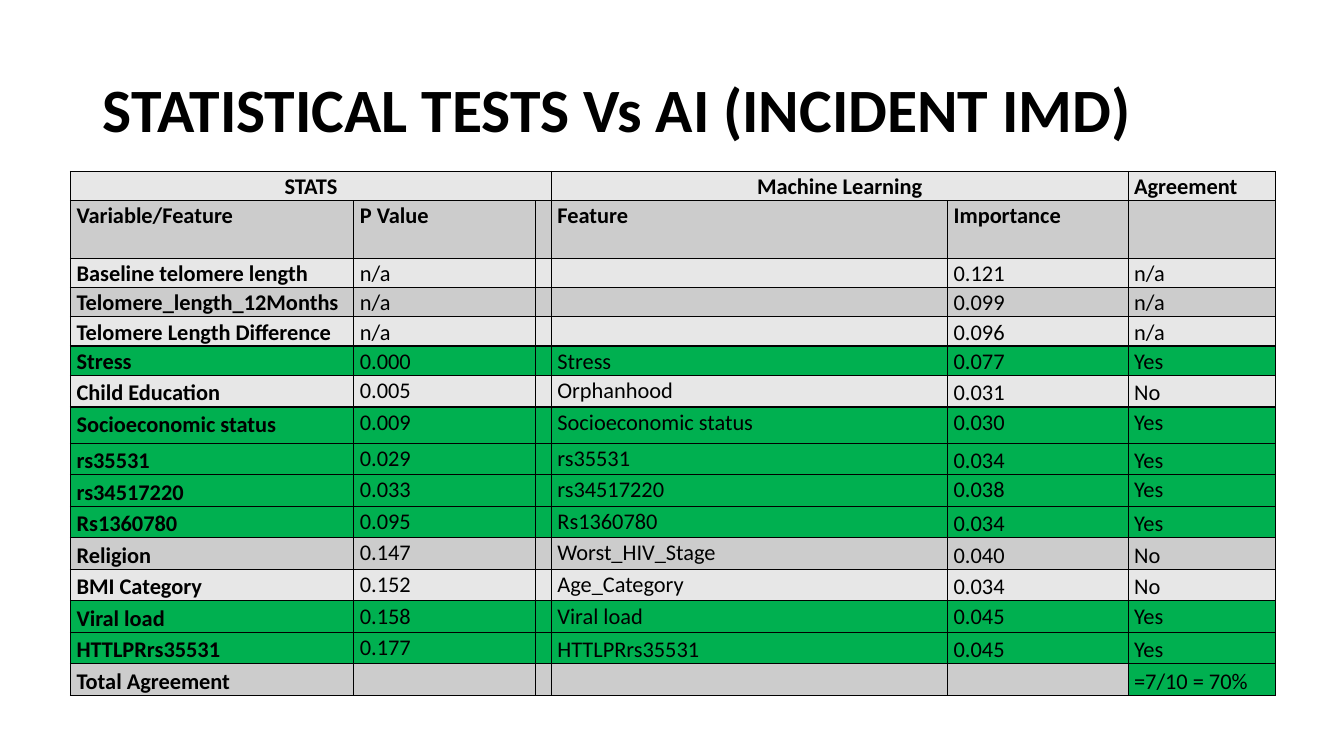
"""Builds a slide comparing statistical tests with machine learning for incident IMD."""
from dataclasses import dataclass

from lxml.etree import SubElement
from pptx import Presentation
from pptx.dml.color import RGBColor as Rgb
from pptx.enum.text import MSO_ANCHOR as Anchor, MSO_AUTO_SIZE as AutoSize, PP_ALIGN as Align
from pptx.oxml import parse_xml
from pptx.oxml.ns import nsdecls, qn
from pptx.util import Inches, Pt


@dataclass(frozen=True)
class Theme:
    font: str = "Calibri"
    title_size: int = 44
    cell_size: int = 16
    ink: str = "000000"
    light: str = "E7E7E7"
    dark: str = "CCCCCC"
    agreed: str = "00B050"
    tight: float = 1.07
    loose: float = 1.15


THEME = Theme()
WIDTH, HEIGHT = Inches(13.33), Inches(7.5)
COLUMN_WIDTHS = (2.81, 1.8, 0.15, 3.93, 1.79, 1.46)
ROW_HEIGHTS = (0.28, 0.57, *[0.28] * 4, 0.3, 0.36, *[0.3] * 8)
TITLE = "STATISTICAL TESTS Vs AI (INCIDENT IMD)"
GROUPS = ((0, 2), (3, 4))
FIRST_TEST_ROW = 6
LOOSE_ROWS = {6, 8, 10, 11, 12, 14, 15}
ROWS = (
    ("STATS", "", "", "Machine Learning", "", "Agreement"),
    ("Variable/Feature", "P Value", "", "Feature", "Importance", ""),
    ("Baseline telomere length", "n/a", "", "", "0.121", "n/a"),
    ("Telomere_length_12Months", "n/a", "", "", "0.099", "n/a"),
    ("Telomere Length Difference", "n/a", "", "", "0.096", "n/a"),
    ("Stress", "0.000", "", "Stress", "0.077", "Yes"),
    ("Child Education", "0.005", "", "Orphanhood", "0.031", "No"),
    ("Socioeconomic status", "0.009", "", "Socioeconomic status", "0.030", "Yes"),
    ("rs35531", "0.029", "", "rs35531", "0.034", "Yes"),
    ("rs34517220", "0.033", "", "rs34517220", "0.038", "Yes"),
    ("Rs1360780", "0.095", "", "Rs1360780", "0.034", "Yes"),
    ("Religion", "0.147", "", "Worst_HIV_Stage", "0.040", "No"),
    ("BMI Category", "0.152", "", "Age_Category", "0.034", "No"),
    ("Viral load", "0.158", "", "Viral load", "0.045", "Yes"),
    ("HTTLPRrs35531", "0.177", "", "HTTLPRrs35531", "0.045", "Yes"),
    ("Total Agreement", "", "", "", "", "=7/10 = 70%"),
)


def style_runs(paragraph, size, bold):
    """Give every run of a paragraph the theme's font and ink."""
    for run in paragraph.runs:
        run.font.name, run.font.size, run.font.bold = THEME.font, Pt(size), bold
        run.font.color.rgb = Rgb.from_string(THEME.ink)


def add_title(slide):
    """Place and format the slide title."""
    title = slide.shapes.title
    title.left, title.top = int(WIDTH * 0.069), int(HEIGHT * 0.053)
    title.width, title.height = int(WIDTH * 0.863), int(HEIGHT * 0.193)
    frame = title.text_frame
    frame.text = TITLE
    frame.vertical_anchor, frame.auto_size = Anchor.MIDDLE, AutoSize.NONE
    heading = frame.paragraphs[0]
    heading.alignment, heading.line_spacing = Align.LEFT, 0.9
    style_runs(heading, THEME.title_size, True)


def add_borders(cell):
    """Draw a one-point line on each side of a cell."""
    properties = cell._tc.get_or_add_tcPr()
    for position, side in enumerate(("lnL", "lnR", "lnT", "lnB")):
        properties.insert(position, parse_xml(
            f'<a:{side} {nsdecls("a")} w="12700"><a:solidFill>'
            f'<a:srgbClr val="{THEME.ink}"/></a:solidFill></a:{side}>'))


def fill_colour(row, column):
    """Pick green for agreement and alternating greys elsewhere."""
    is_total = row == len(ROWS) - 1 and column == len(COLUMN_WIDTHS) - 1
    if ROWS[row][-1] == "Yes" or is_total:
        return THEME.agreed
    return THEME.dark if row % 2 else THEME.light


def is_loose(row, column):
    """Tell whether a cell has the wider line spacing."""
    if column == 0:
        return row >= FIRST_TEST_ROW
    return row in LOOSE_ROWS and (column > 3 or (column == 3 and row == 14))


def fill_cell(cell, row, column):
    """Write and format one cell of the comparison."""
    cell.margin_left = cell.margin_right = Inches(0.06)
    cell.margin_top = cell.margin_bottom = 0
    cell.fill.solid()
    cell.fill.fore_color.rgb = Rgb.from_string(fill_colour(row, column))
    add_borders(cell)
    entry = cell.text_frame.paragraphs[0]
    entry.text = ROWS[row][column]
    entry.line_spacing = THEME.loose if is_loose(row, column) else THEME.tight
    if column == 0 and FIRST_TEST_ROW <= row < len(ROWS) - 1:
        entry.space_after = Pt(8)
    if cell.is_merge_origin:
        entry.alignment = Align.CENTER
    style_runs(entry, THEME.cell_size, row < 2 or column == 0)
    if not entry.runs:
        SubElement(entry._p, qn("a:endParaRPr"), sz=str(THEME.cell_size * 100))


def add_comparison(slide):
    """Build the table of tests against model features."""
    table = slide.shapes.add_table(
        len(ROWS), len(COLUMN_WIDTHS), Inches(0.7), Inches(1.7),
        Inches(sum(COLUMN_WIDTHS)), Inches(sum(ROW_HEIGHTS))).table
    table.horz_banding = table.first_row = False
    for column, width in zip(table.columns, COLUMN_WIDTHS):
        column.width = Inches(width)
    for row, height in zip(table.rows, ROW_HEIGHTS):
        row.height = Inches(height)
    for first, last in GROUPS:
        table.cell(0, first).merge(table.cell(0, last))
    for row in range(len(ROWS)):
        for column in range(len(COLUMN_WIDTHS)):
            fill_cell(table.cell(row, column), row, column)


def main():
    """Create the presentation and save it."""
    deck = Presentation()
    deck.slide_width, deck.slide_height = WIDTH, HEIGHT
    slide = deck.slides.add_slide(deck.slide_layouts[5])
    add_title(slide)
    add_comparison(slide)
    deck.save("out.pptx")


if __name__ == "__main__":
    main()
